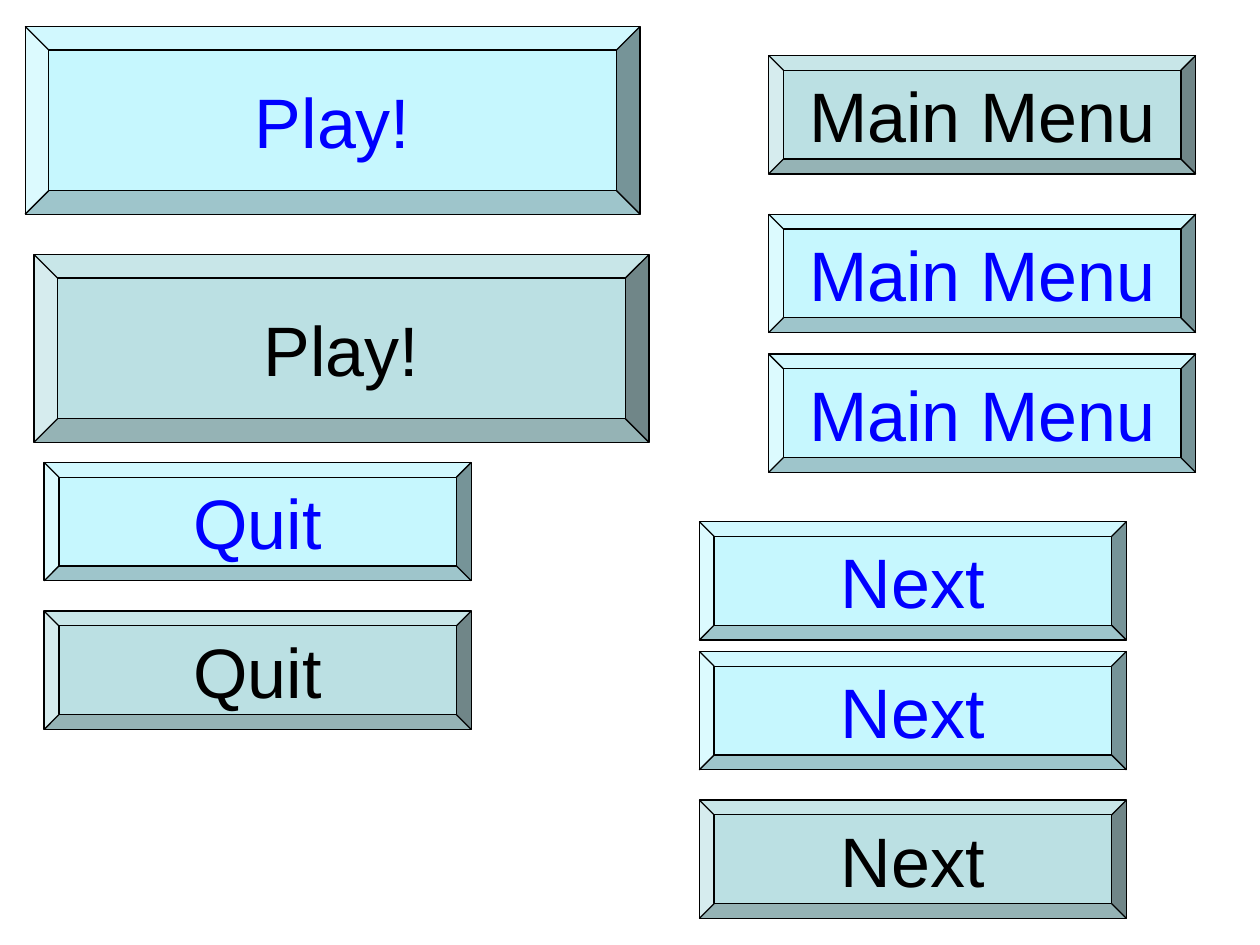
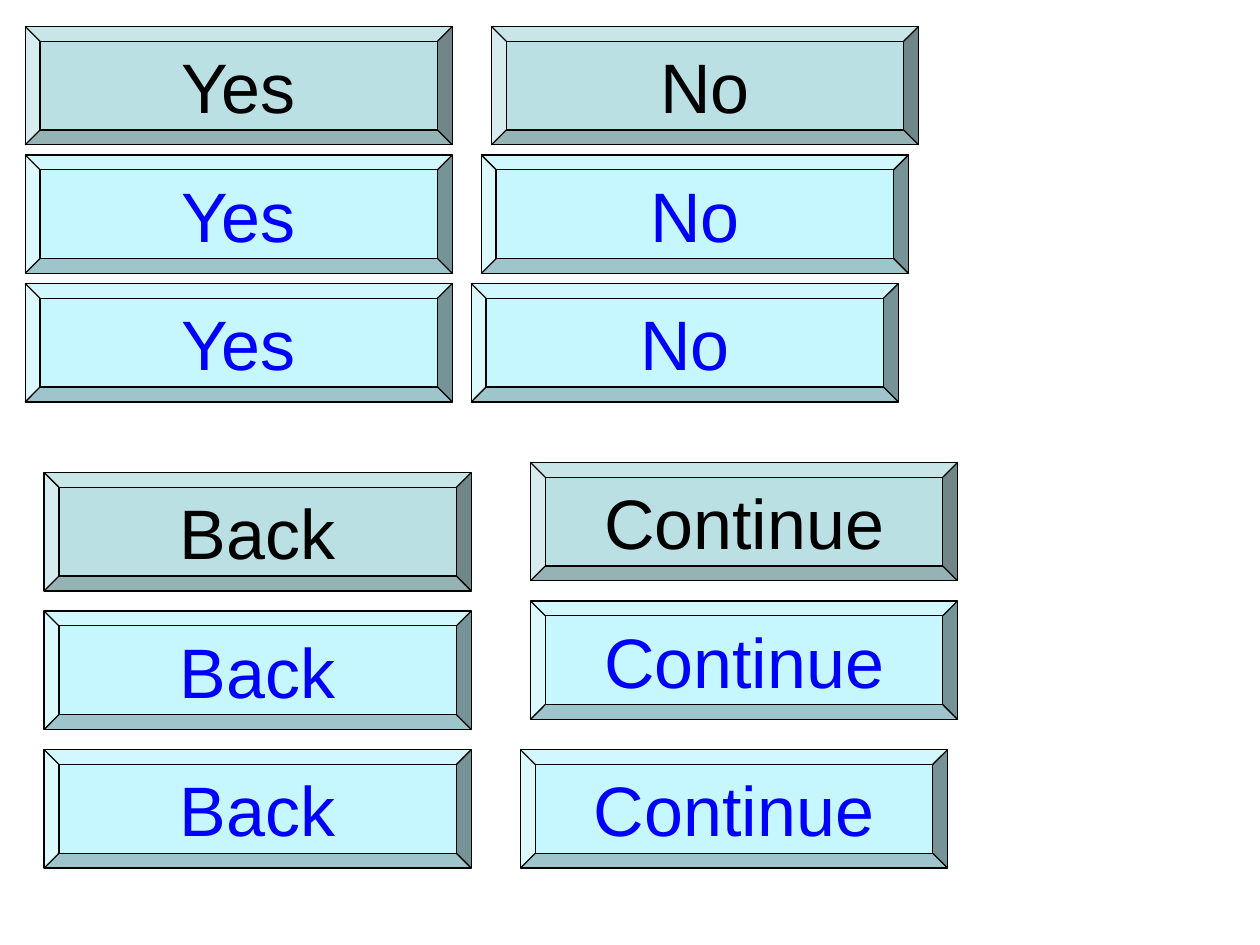
from dataclasses import dataclass

from pptx import Presentation
from pptx.dml.color import RGBColor as RGB
from pptx.enum.shapes import MSO_SHAPE as SHAPE
from pptx.enum.text import MSO_ANCHOR as ANCHOR, PP_ALIGN as ALIGN
from pptx.util import Inches, Pt


@dataclass(frozen=True)
class ButtonState:
    fill: RGB
    text: RGB


@dataclass(frozen=True)
class Theme:
    idle: ButtonState = ButtonState(RGB(0xBB, 0xE0, 0xE3), RGB(0, 0, 0))
    lit: ButtonState = ButtonState(RGB(0xC6, 0xF7, 0xFE), RGB(0, 0, 0xFF))
    outline: RGB = RGB(0, 0, 0)
    outline_width: float = 0.75
    font: str = "Arial"
    font_size: int = 40
    bevel: float = 0.125


THEME = Theme()
LARGE = (4.88, 1.49)
SMALL = (3.39, 0.94)
IDLE_FIRST = (THEME.idle, THEME.lit, THEME.lit)
IDLE_LAST = (THEME.lit, THEME.lit, THEME.idle)
LIT_IDLE = (THEME.lit, THEME.idle)


def add_button(slide, label, box, state):
    s = slide.shapes.add_shape(SHAPE.BEVEL, *map(Inches, box))
    s.adjustments[0] = THEME.bevel
    s.shadow.inherit = False
    s.fill.solid()
    s.fill.fore_color.rgb = state.fill
    s.line.color.rgb = THEME.outline
    s.line.width = Pt(THEME.outline_width)
    tf = s.text_frame
    tf.word_wrap = False
    tf.vertical_anchor = ANCHOR.MIDDLE
    p = tf.paragraphs[0]
    p.text = label
    p.alignment = ALIGN.CENTER
    p.font.name = THEME.font
    p.font.size = Pt(THEME.font_size)
    p.font.color.rgb = state.text


def add_button_stack(slide, label, origin, size, states, offsets):
    left, top = origin
    for state, (dx, dy) in zip(states, offsets):
        add_button(slide, label, (left + dx, top + dy, *size), state)


def even_offsets(count, pitch, shift=0):
    return [(i * shift, i * pitch) for i in range(count)]


def add_menu_slide(prs):
    slide = prs.slides.add_slide(prs.slide_layouts[6])
    add_button_stack(slide, "Play!", (0.2, 0.21), LARGE, LIT_IDLE,
                     even_offsets(2, 1.81, 0.07))
    add_button_stack(slide, "Quit", (0.35, 3.67), SMALL, LIT_IDLE,
                     even_offsets(2, 1.18))
    add_button_stack(slide, "Main Menu", (6.1, 0.44), SMALL, IDLE_FIRST,
                     [(0, 0), (0, 1.26), (0, 2.37)])
    add_button_stack(slide, "Next", (5.55, 4.14), SMALL, IDLE_LAST,
                     [(0, 0), (0, 1.03), (0, 2.21)])


def add_dialog_slide(prs):
    slide = prs.slides.add_slide(prs.slide_layouts[6])
    add_button_stack(slide, "Yes", (0.2, 0.21), SMALL, IDLE_FIRST,
                     even_offsets(3, 1.02))
    add_button_stack(slide, "No", (3.9, 0.21), SMALL, IDLE_FIRST,
                     even_offsets(3, 1.02, -0.08))
    add_button_stack(slide, "Back", (0.35, 3.75), SMALL, IDLE_FIRST,
                     even_offsets(3, 1.1))
    add_button_stack(slide, "Continue", (4.21, 3.67), SMALL, IDLE_FIRST,
                     [(0, 0), (0, 1.1), (-0.08, 2.28)])


def main():
    prs = Presentation()
    prs.slide_width, prs.slide_height = Inches(10), Inches(7.5)
    add_menu_slide(prs)
    add_dialog_slide(prs)
    prs.save("out.pptx")


if __name__ == "__main__":
    main()
